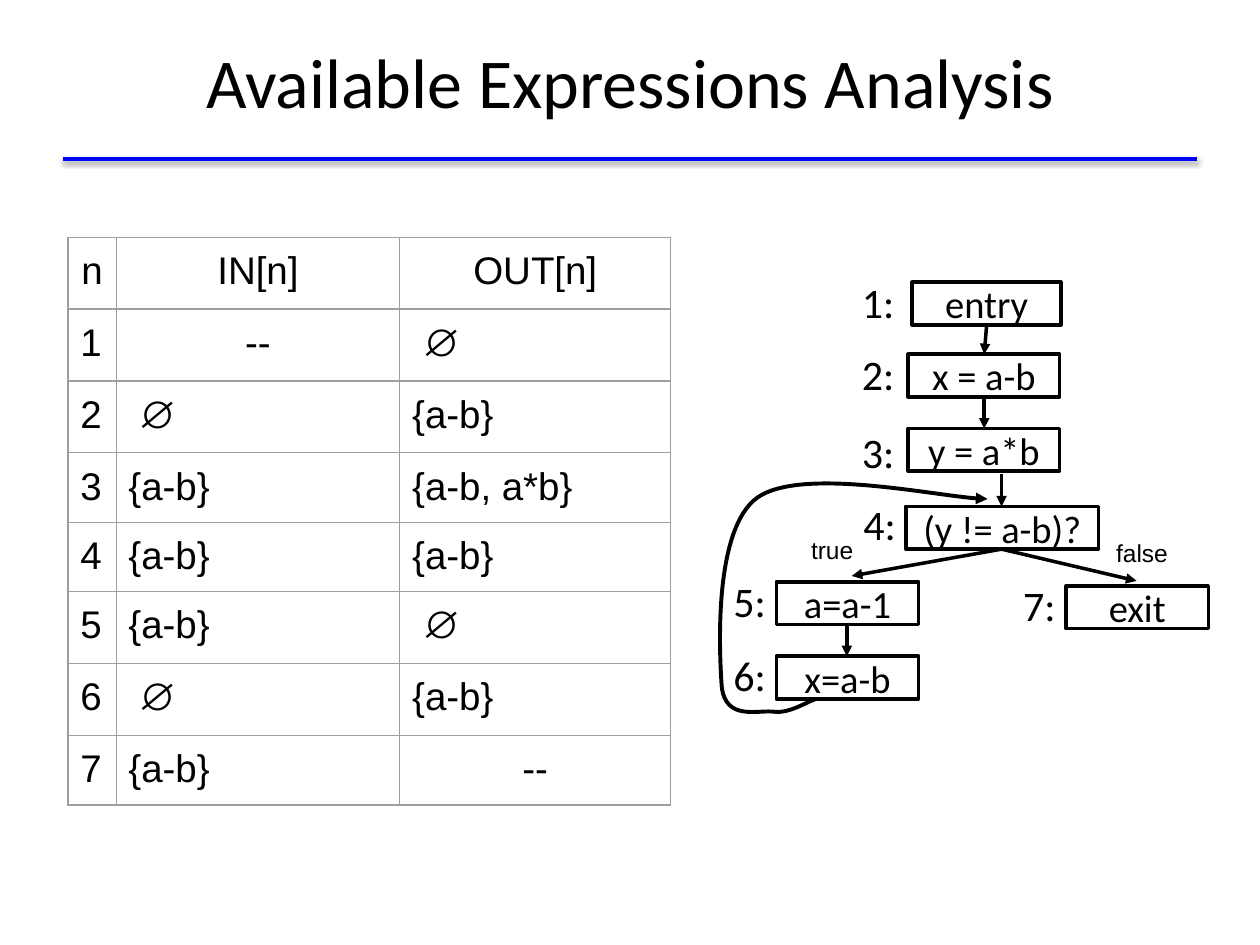
"""Build a slide on available expressions analysis with a table and a flow graph."""
from dataclasses import dataclass

from lxml import etree
from pptx import Presentation
from pptx import util as u
from pptx.dml.color import RGBColor
from pptx.enum import shapes, text
from pptx.oxml import parse_xml
from pptx.oxml.ns import nsdecls, qn


@dataclass(frozen=True)
class Theme:
    """Colours, fonts and type sizes of the slide."""
    ink: str = "000000"
    rule: str = "0000FF"
    grid: str = "9E9E9E"
    heading: str = "Calibri"
    plain: str = "Arial"
    title: int = 40
    label: int = 24
    body: int = 22
    small: int = 14
    inset: float = 0.25


class Slide:
    """Holds the theme and the current page, and draws each kind of element."""

    def __init__(self, page, theme):
        self.page, self.theme = page, theme

    def fill_text(self, frame, words, size, font, centred=True, middle=True, inset=None):
        """Fill a text frame with one paragraph."""
        side = u.Cm(self.theme.inset)
        frame.margin_left = frame.margin_right = side
        frame.margin_top = frame.margin_bottom = side if inset is None else u.Cm(inset)
        frame.word_wrap = True
        frame.vertical_anchor = text.MSO_ANCHOR.MIDDLE if middle else text.MSO_ANCHOR.TOP
        frame.text = words
        self.style(frame.paragraphs[0], size, font, centred)

    def style(self, para, size, font, centred):
        """Set alignment and font of a paragraph."""
        para.alignment = text.PP_ALIGN.CENTER if centred else text.PP_ALIGN.LEFT
        para.font.size, para.font.name = u.Pt(size), font
        para.font.color.rgb = RGBColor.from_string(self.theme.ink)

    def title(self, words, left, top, width, height):
        """Place the title in its placeholder."""
        box = self.page.shapes.title
        box.left, box.top, box.width, box.height = map(u.Cm, (left, top, width, height))
        self.fill_text(box.text_frame, words, self.theme.title, self.theme.heading)

    def label(self, words, left, top, width, height, size, font, centred=True):
        """Add a free label, centred in its box or set from the top left."""
        box = self.page.shapes.add_textbox(*map(u.Cm, (left, top, width, height)))
        self.fill_text(box.text_frame, words, size, font, centred, middle=centred)

    def node(self, words, left, top, width, height=0.86):
        """Add an outlined statement box."""
        box = self.page.shapes.add_shape(
            shapes.MSO_SHAPE.RECTANGLE, *map(u.Cm, (left, top, width, height)))
        box.shadow.inherit = False
        box.fill.background()
        self.stroke(box.line, self.theme.ink, 2)
        self.fill_text(box.text_frame, words, self.theme.body, self.theme.heading, inset=0.13)

    def stroke(self, line, colour, width, arrow=False):
        """Set colour, width and arrowhead of a line."""
        line.color.rgb = RGBColor.from_string(colour)
        line.width = u.Pt(width)
        if arrow:
            etree.SubElement(line._get_or_add_ln(), qn("a:tailEnd"), type="triangle")

    def connect(self, start, end, colour, arrow=True, effect=""):
        """Add a straight line between two points."""
        line = self.page.shapes.add_connector(
            shapes.MSO_CONNECTOR.STRAIGHT, *map(u.Cm, (*start, *end)))
        self.stroke(line.line, colour, 2, arrow)
        line._element.spPr.append(
            parse_xml(f"<a:effectLst {nsdecls('a')}>{effect}</a:effectLst>"))

    def curve(self, points):
        """Add an arrow along Bezier segments of three points each."""
        start, *rest = [(u.Cm(x), u.Cm(y)) for x, y in points]
        builder = self.page.shapes.build_freeform(*start)
        builder.add_line_segments(rest, close=False)
        arc = builder.convert_to_shape()
        arc.shadow.inherit = False
        arc.fill.background()
        self.stroke(arc.line, self.theme.ink, 2.25, arrow=True)
        outline = arc._element.spPr.find(".//" + qn("a:path"))
        steps = outline.findall(qn("a:lnTo"))
        for first in range(0, len(steps), 3):
            bezier = etree.SubElement(outline, qn("a:cubicBezTo"))
            for step in steps[first:first + 3]:
                bezier.append(step[0])
                outline.remove(step)

    def table(self, rows, left, top, widths, heights):
        """Add a ruled table with centred headings and dashes."""
        theme = self.theme
        grid = self.page.shapes.add_table(
            len(rows), len(widths),
            *map(u.Cm, (left, top, sum(widths), sum(heights)))).table
        grid.first_row = grid.horz_banding = False
        for column, width in zip(grid.columns, widths):
            column.width = u.Cm(width)
        for i, (row, height) in enumerate(zip(rows, heights)):
            grid.rows[i].height = u.Cm(height)
            for j, words in enumerate(row):
                cell = grid.cell(i, j)
                self.border(cell)
                cell.fill.background()
                cell.margin_left = cell.margin_right = u.Cm(theme.inset)
                cell.margin_top = cell.margin_bottom = u.Cm(theme.inset)
                cell.text = words
                para = cell.text_frame.paragraphs[0]
                self.style(para, theme.body, theme.plain, i == 0 or words == "--")
                para.font.bold = words == "∅"
                if para.font.bold:
                    cell.margin_left = u.Cm(theme.inset + 0.21)

    def border(self, cell):
        """Rule all four sides of a cell."""
        for side in "LRTB":
            cell._tc.get_or_add_tcPr().append(parse_xml(
                f'<a:ln{side} {nsdecls("a")} w="9525"><a:solidFill>'
                f'<a:srgbClr val="{self.theme.grid}"/></a:solidFill></a:ln{side}>'))


ROWS = [
    ("n", "IN[n]", "OUT[n]"),
    ("1", "--", "∅"),
    ("2", "∅", "{a-b}"),
    ("3", "{a-b}", "{a-b, a*b}"),
    ("4", "{a-b}", "{a-b}"),
    ("5", "{a-b}", "∅"),
    ("6", "∅", "{a-b}"),
    ("7", "{a-b}", "--"),
]
NODES = [
    ("entry", 18.39, 5.69, 3, 16.89, 5.61),
    ("x = a-b", 18.31, 7.14, 3.05, 16.89, 7.06),
    ("y = a*b", 18.31, 8.64, 3.05, 16.89, 8.64),
    ("(y != a-b)?", 18.26, 10.21, 3.89, 16.92, 10.08),
    ("a=a-1", 15.65, 11.73, 2.87, 14.3, 11.63),
    ("x=a-b", 15.65, 13.23, 2.87, 14.3, 13.13),
    ("exit", 21.49, 11.81, 2.87, 20.14, 11.73),
]
BRANCH = (20.19, 11.07)
ARROWS = [
    ((19.89, 6.55), (19.84, 7.14)),
    ((19.84, 8), (19.84, 8.64)),
    ((20.19, 9.55), (20.19, 10.21)),
    (BRANCH, (17.17, 11.61)),
    (BRANCH, (22.91, 11.71)),
    ((17.07, 12.6), (17.07, 13.23)),
]
LOOP = [
    (16.43, 14.1), (16.28, 14.14), (15.93, 14.38), (15.62, 14.35),
    (15.29, 14.3), (14.63, 14.55), (14.55, 13.84),
    (14.5, 13.13), (14.38, 10.67), (15.27, 10.03),
    (16.15, 9.42), (19.15, 10.06), (19.91, 10.06),
]
SHADOW = ('<a:outerShdw blurRad="39370" dist="20320" dir="5400000">'
          '<a:srgbClr val="000000"><a:alpha val="38000"/></a:srgbClr></a:outerShdw>')


def main():
    """Draw the slide and save it."""
    deck = Presentation()
    deck.slide_width, deck.slide_height = u.Cm(25.4), u.Cm(19.05)
    theme = Theme()
    slide = Slide(deck.slides.add_slide(deck.slide_layouts[5]), theme)
    slide.connect((1.27, 3.2), (24.13, 3.2), theme.rule, arrow=False, effect=SHADOW)
    slide.title("Available Expressions Analysis", 1.27, 0.03, 22.86, 3.18)
    slide.table(ROWS, 1.37, 4.78, (0.97, 5.72, 5.46),
                [1.4 if i in (3, 4, 7) else 1.45 for i in range(len(ROWS))])
    slide.curve(LOOP)
    for start, end in ARROWS:
        slide.connect(start, end, theme.ink)
    for number, (words, left, top, width, *corner) in enumerate(NODES, 1):
        slide.node(words, left, top, width)
        slide.label(f"{number}:", *corner, 1.63, 0.94, theme.label, theme.heading)
    for words, left, top in (("true", 16.1, 10.54), ("false", 22.25, 10.59)):
        slide.label(words, left, top, 1.6, 1, theme.small, theme.plain, centred=False)
    deck.save("out.pptx")


if __name__ == "__main__":
    main()
